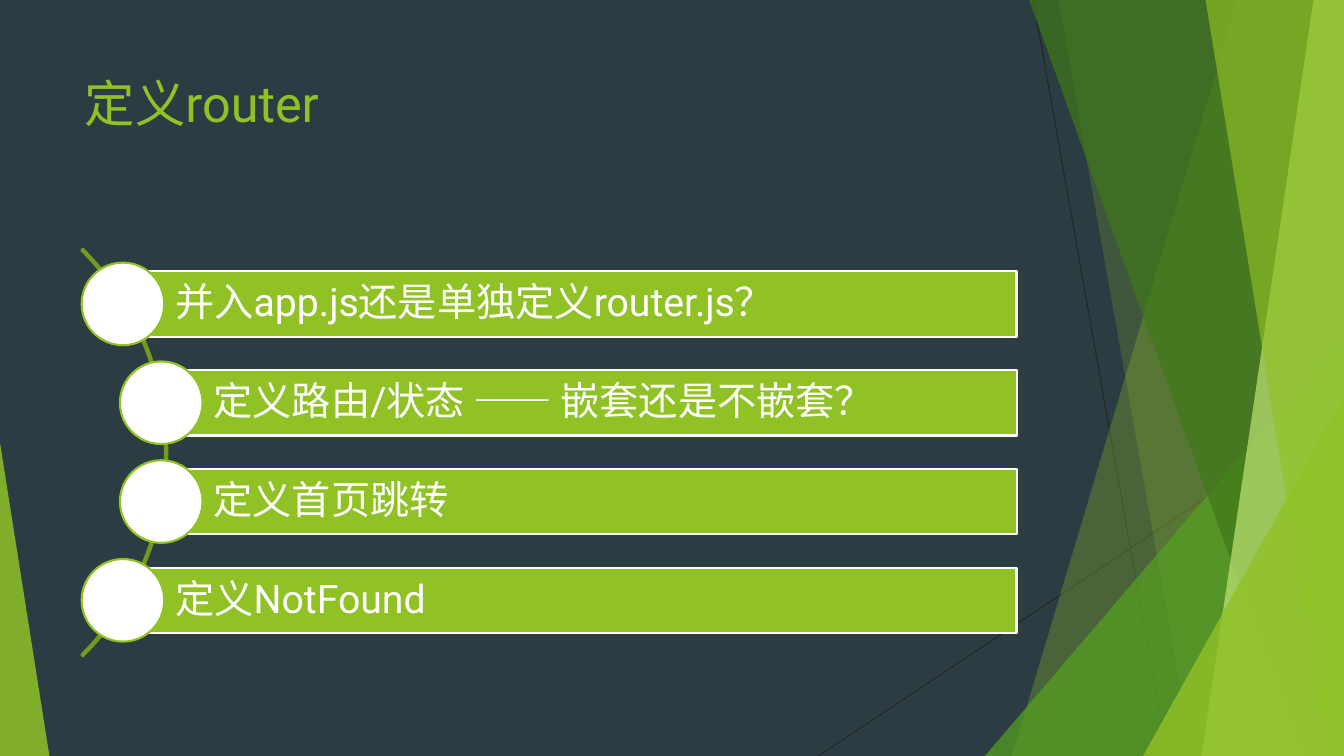
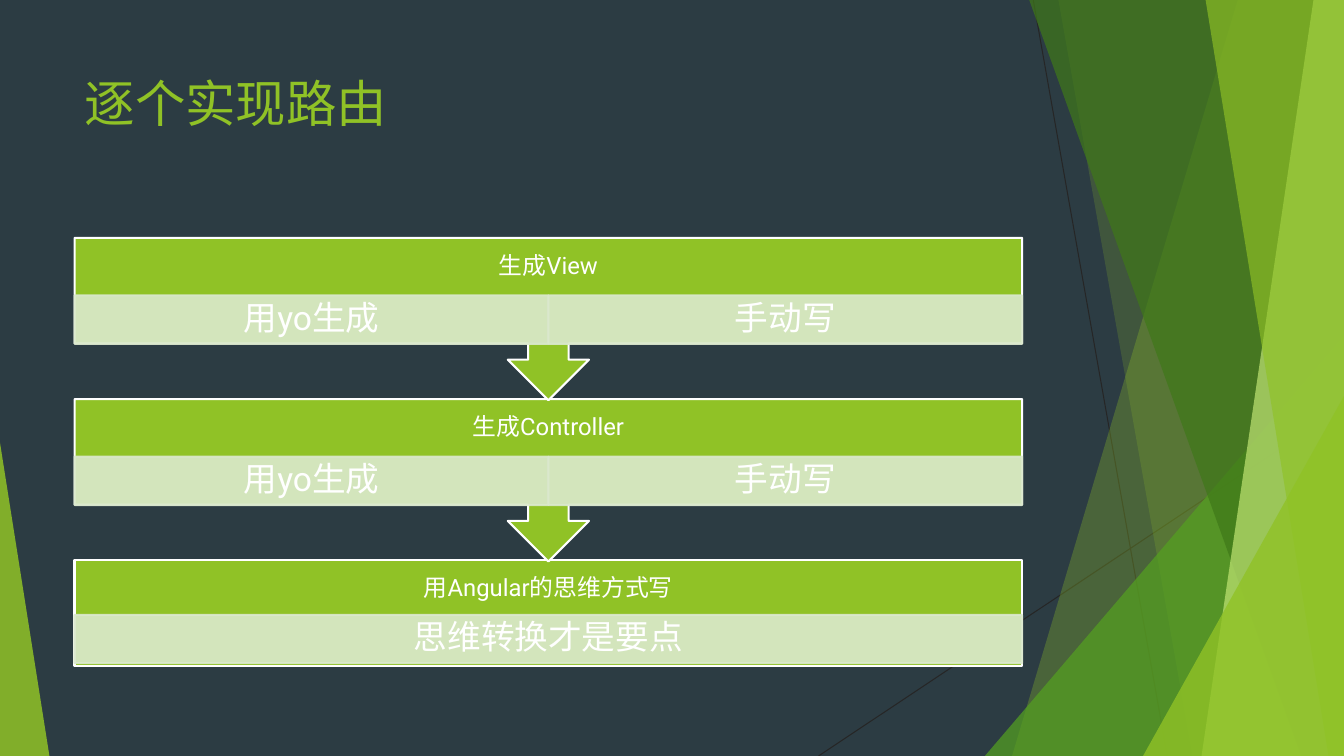
from lxml.etree import SubElement
from pptx import Presentation
from pptx.dml.color import RGBColor
from pptx.enum.shapes import MSO_CONNECTOR, MSO_SHAPE
from pptx.enum.text import MSO_ANCHOR, PP_ALIGN
from pptx.oxml.ns import qn
from pptx.util import Inches, Pt

WIDTH, HEIGHT = Inches(13.33), Inches(7.5)
FONT = "Roboto"
COLORS = {
    "background": "2C3C43",
    "green": "90C226",
    "leaf": "54A021",
    "forest": "3F7819",
    "lime": "C0E474",
    "arc": "739B1E",
    "pale": "DBE9CD",
    "white": "FFFFFF",
    "hairline": "262626",
}
CONTENT_LEFT, CONTENT_WIDTH = 5.55, 70.5
QUESTIONS = [
    ("并入app.js还是单独定义router.js?".replace("?", "？"), 9.15),
    ("定义路由/状态 —— 嵌套还是不嵌套？", 12),
    ("定义首页跳转", 12),
    ("定义NotFound", 9.15),
]
STEPS = [
    ("生成View", ["用yo生成", "手动写"]),
    ("生成Controller", ["用yo生成", "手动写"]),
    ("用Angular的思维方式写", ["思维转换才是要点"]),
]


def color(name):
    """Return a named colour."""
    return RGBColor.from_string(COLORS[name])


def across(percent):
    """Return a percentage of the slide width."""
    return round(WIDTH * percent / 100)


def down(percent):
    """Return a percentage of the slide height."""
    return round(HEIGHT * percent / 100)


def area(left, top, width, height):
    """Return a rectangle given in percentages of the slide."""
    return across(left), down(top), across(width), down(height)


def paint(shape, fill=None, line=None, opacity=100):
    """Set fill, outline and opacity, without a shadow."""
    shape.shadow.inherit = False
    if fill:
        shape.fill.solid()
        shape.fill.fore_color.rgb = color(fill)
    else:
        shape.fill.background()
    if line:
        shape.line.color.rgb = color(line)
        shape.line.width = Pt(1.5)
    else:
        shape.line.fill.background()
    if opacity < 100:
        for node in list(shape.element.iter(qn("a:srgbClr"))):
            SubElement(node, qn("a:alpha")).set("val", str(opacity * 1000))
    return shape


def add_figure(page, kind, place, fill=None, line=None, opacity=100):
    """Add a painted preset shape."""
    return paint(page.shapes.add_shape(kind, *area(*place)), fill, line, opacity)


def style_paragraph(para, size, name, align):
    """Format one paragraph."""
    para.alignment = align
    para.font.size = Pt(size)
    para.font.name = FONT
    para.font.color.rgb = color(name)


def write(box, text, size, insets, align=PP_ALIGN.CENTER):
    """Write one vertically centred white line, with insets in inches."""
    frame = box.text_frame
    frame.word_wrap = True
    frame.vertical_anchor = MSO_ANCHOR.MIDDLE
    left, top, right, bottom = map(Inches, insets)
    frame.margin_left, frame.margin_right = left, right
    frame.margin_top, frame.margin_bottom = top, bottom
    para = frame.paragraphs[0]
    para.text = text
    para.line_spacing = 0.9
    style_paragraph(para, size, "white", align)


def add_hairline(page, start, end):
    """Add a thin decorative line."""
    line = page.shapes.add_connector(
        MSO_CONNECTOR.STRAIGHT,
        across(start[0]), down(start[1]), across(end[0]), down(end[1]),
    )
    line.line.color.rgb = color("hairline")
    line.line.width = Pt(0.75)
    SubElement(line.element.spPr, qn("a:effectLst"))


def add_shard(page, top_edge, bottom_edge, fill, opacity):
    """Add a full-height panel with a slanted left edge."""
    builder = page.shapes.build_freeform(across(top_edge), 0)
    corners = [(WIDTH, 0), (WIDTH, HEIGHT), (across(bottom_edge), HEIGHT)]
    builder.add_line_segments(corners, close=True)
    paint(builder.convert_to_shape(), fill, opacity=opacity)


def add_wedge(page, left, top, right, apex, fill, opacity):
    """Add a right triangle standing on the bottom edge."""
    place = left, top, right - left, 100 - top
    wedge = add_figure(page, MSO_SHAPE.ISOSCELES_TRIANGLE, place, fill, opacity=opacity)
    wedge.adjustments[0] = apex


def decorate(master, page):
    """Draw the shared decoration and move it to the master."""
    add_hairline(page, (76.88, 0), (86.85, 100))
    add_hairline(page, (100, 53.73), (60.9, 100))
    add_shard(page, 92.1, 75.3, "green", 30)
    add_shard(page, 78.75, 88.73, "green", 20)
    add_wedge(page, 73.28, 44.4, 100, 1, "leaf", 72)
    add_shard(page, 76.58, 96.83, "forest", 70)
    add_shard(page, 97.73, 89.4, "lime", 70)
    add_shard(page, 89.7, 98.85, "green", 65)
    add_wedge(page, 85.05, 52.4, 100, 1, "green", 80)
    add_wedge(page, 0, 58.53, 3.68, 0, "green", 85)
    drawn = [shape for shape in page.shapes if not shape.is_placeholder]
    for index, shape in enumerate(drawn):
        shape.element.find(".//" + qn("p:cNvPr")).set("id", str(100 + index))
        master.shapes.element.insert(2 + index, shape.element)


def prepare_master(master):
    """Set the shared background and title place."""
    master.background.fill.solid()
    master.background.fill.fore_color.rgb = color("background")
    title = master.placeholders[0]
    title.left, title.top, title.width, title.height = area(
        CONTENT_LEFT, 8.93, CONTENT_WIDTH, 19.2
    )
    title.text_frame.vertical_anchor = MSO_ANCHOR.TOP


def add_page(deck, title):
    """Add a titled page."""
    page = deck.slides.add_slide(deck.slide_layouts[5])
    page.shapes.title.text = title
    para = page.shapes.title.text_frame.paragraphs[0]
    style_paragraph(para, 36, "green", PP_ALIGN.LEFT)
    return page


def add_curved_list(page, questions):
    """Add bars with round markers along an arc."""
    first, pitch, height, right = 35.87, 13.07, 8.67, 75.64
    marker_width, marker_height = 6.15, 10.93
    arc = add_figure(page, MSO_SHAPE.BLOCK_ARC, (-30.45, 21.73, 42.9, 76.27), line="arc")
    for index, value in enumerate((189, 27, 0.004)):
        arc.adjustments[index] = value
    for row, (text, left) in enumerate(questions):
        top = first + row * pitch
        place = left, top, right - left, height
        bar = add_figure(page, MSO_SHAPE.RECTANGLE, place, "green", "white")
        write(bar, text, 28, (0.52, 0.08, 0.08, 0.08), PP_ALIGN.LEFT)
        marker = (left - marker_width / 2, top + (height - marker_height) / 2,
                  marker_width, marker_height)
        add_figure(page, MSO_SHAPE.OVAL, marker, "white", "green")


def add_step(page, top, heading, options, is_last):
    """Add one step with its heading and a strip of options."""
    height, strip = (14, 7.2) if is_last else (21.47, 7.6)
    kind = MSO_SHAPE.RECTANGLE if is_last else MSO_SHAPE.UP_ARROW_CALLOUT
    block = add_figure(
        page, kind, (CONTENT_LEFT, top, CONTENT_WIDTH, height), "green", "white"
    )
    block.rotation = 0 if is_last else 180
    label = page.shapes.add_textbox(*area(CONTENT_LEFT, top, CONTENT_WIDTH, 7.6))
    write(label, heading, 17, (0.13, 0.13, 0.13, 0.13))
    width = CONTENT_WIDTH / len(options)
    for column, option in enumerate(options):
        place = CONTENT_LEFT + column * width, top + strip, width, 6.4
        cell = add_figure(page, MSO_SHAPE.RECTANGLE, place, "pale", "pale", 90)
        write(cell, option, 24, (0.19, 0.03, 0.19, 0.03))


def add_process(page, steps):
    """Stack the steps from the last up, so arrows lie on top."""
    for row, (heading, options) in reversed(list(enumerate(steps))):
        add_step(page, 31.47 + row * 21.33, heading, options, row == len(steps) - 1)


def main():
    """Build and save the deck."""
    deck = Presentation()
    deck.slide_width, deck.slide_height = WIDTH, HEIGHT
    prepare_master(deck.slide_master)
    router_page = add_page(deck, "定义router")
    decorate(deck.slide_master, router_page)
    add_curved_list(router_page, QUESTIONS)
    add_process(add_page(deck, "逐个实现路由"), STEPS)
    deck.save("out.pptx")


main()
